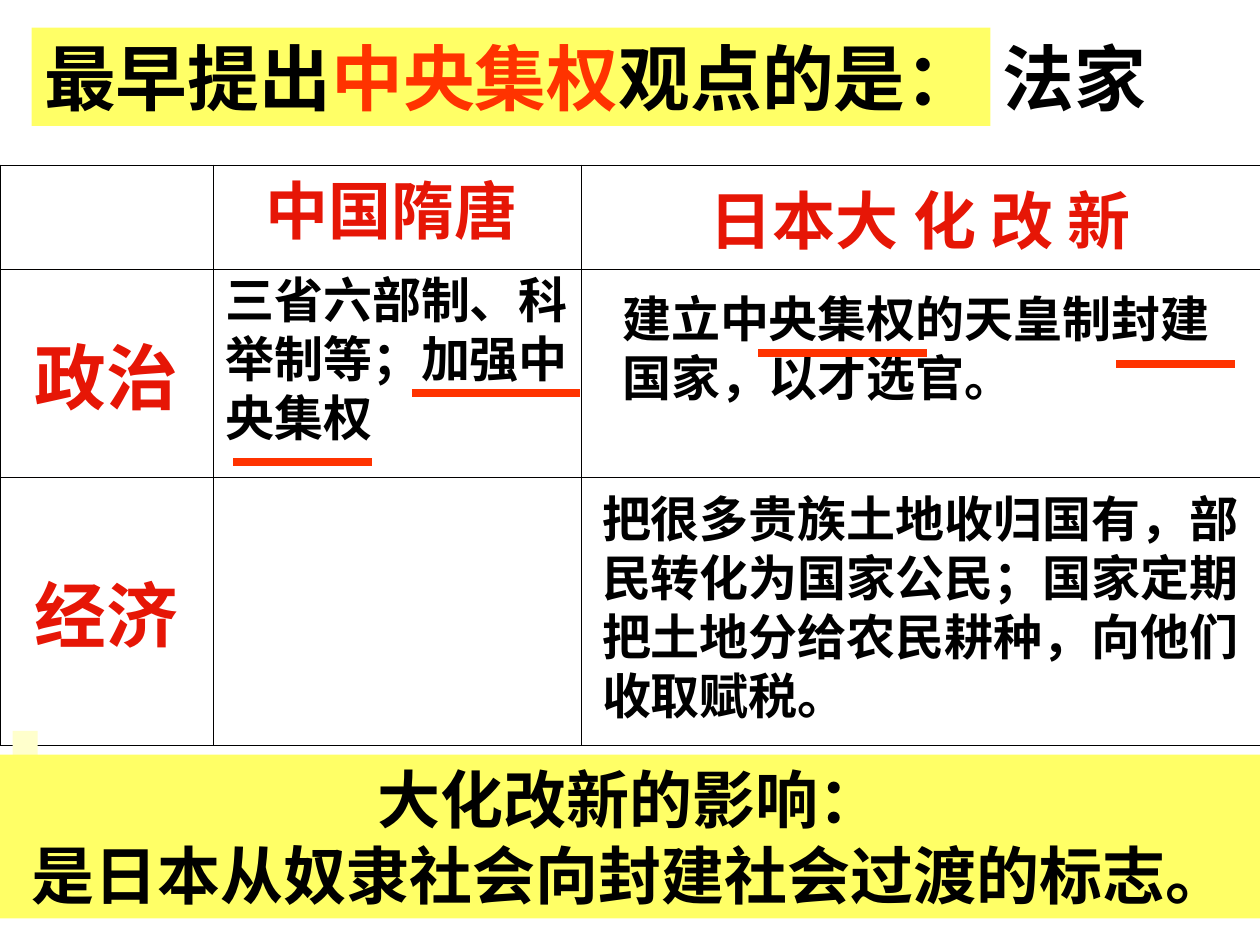
from lxml import etree
from pptx import Presentation
from pptx.dml.color import RGBColor
from pptx.enum import shapes, text
from pptx.oxml.ns import qn
from pptx.util import Inches, Pt

FONT = "Times New Roman"
BLACK, RED, ORANGE = "000000", "E61606", "FF3300"
YELLOW, CREAM, WHITE = "FFFF66", "FFFFCC", "FFFFFF"
LEFT, CENTER = text.PP_ALIGN.LEFT, text.PP_ALIGN.CENTER

# Each paragraph is a list of (words, colour) runs.
HEADING = [[("最早提出", BLACK), ("中央集权", ORANGE), ("观点的是：", BLACK)]]
IMPACT = [[("大化改新的影响：", BLACK)],
          [("是日本从奴隶社会向封建社会过渡的标志。", BLACK)]]

TABLE_BOX = (0, 1.31, 10, 4.57)
COLUMN_WIDTHS = (1.69, 2.92, 5.39)
ROW_HEIGHTS = (0.79, 1.65, 2.13)
TABLE = [
    [("", 18), ("", 18), ("日本大 化 改 新", 36)],
    [("政治", 41), ("", 18), ("", 18)],
    [("经济", 41), ("", 18), ("", 18)],
]
OUTER, INNER = (BLACK, 0.45), ("010000", 0.06)

# words, size, colour, box
NOTES = [
    ("三省六部制、科举制等；加强中央集权", 28, BLACK, (1.69, 2.09, 3.15, 1.5)),
    ("建立中央集权的天皇制封建国家，以才选官。", 28, BLACK, (4.84, 2.24, 5.16, 1.03)),
    ("把很多贵族土地收归国有，部民转化为国家公民；国家定期把土地分给农民耕种，"
     "向他们收取赋税。", 28, BLACK, (4.68, 3.83, 5.32, 1.97)),
    ("中国隋唐", 36, RED, (2.01, 1.31, 2.36, 0.7)),
    ("法家", 41, BLACK, (7.86, 0.22, 1.63, 0.78)),
]

# left, right, height on the slide
UNDERLINES = [(3.27, 4.6, 3.12), (1.85, 2.95, 3.67),
              (6.02, 7.36, 2.8), (8.86, 9.8, 2.89)]


def rgb(colour):
    return RGBColor.from_string(colour)


def inches(box):
    return [Inches(value) for value in box]


def paint(part, colour):
    part.fill.solid()
    part.fill.fore_color.rgb = rgb(colour)


def write(frame, paragraphs, size, align=LEFT, wrap=True, anchor=text.MSO_ANCHOR.TOP):
    settings = {"word_wrap": wrap, "vertical_anchor": anchor,
                "auto_size": text.MSO_AUTO_SIZE.NONE}
    for name, value in settings.items():
        setattr(frame, name, value)
    for index, runs in enumerate(paragraphs):
        paragraph = frame.add_paragraph() if index else frame.paragraphs[0]
        paragraph.alignment = align
        for words, colour in runs:
            run = paragraph.add_run()
            run.text = words
            for name, value in {"name": FONT, "size": Pt(size), "bold": True}.items():
                setattr(run.font, name, value)
            run.font.color.rgb = rgb(colour)


def add_block(slide, box, colour):
    block = slide.shapes.add_shape(shapes.MSO_SHAPE.RECTANGLE, *inches(box))
    block.shadow.inherit = False
    block.line.fill.background()
    paint(block, colour)
    return block


def add_border(cell, side, colour, width):
    line = etree.SubElement(cell._tc.get_or_add_tcPr(), qn(f"a:ln{side}"), w=str(Pt(width)))
    fill = etree.SubElement(line, qn("a:solidFill"))
    etree.SubElement(fill, qn("a:srgbClr"), val=colour)


def add_comparison(slide):
    rows, columns = len(ROW_HEIGHTS), len(COLUMN_WIDTHS)
    table = slide.shapes.add_table(rows, columns, *inches(TABLE_BOX)).table
    table.first_row = table.horz_banding = False
    for column, width in zip(table.columns, COLUMN_WIDTHS):
        column.width = Inches(width)
    for r, (row, height) in enumerate(zip(TABLE, ROW_HEIGHTS)):
        table.rows[r].height = Inches(height)
        for c, (words, size) in enumerate(row):
            cell = table.cell(r, c)
            on_edge = {"L": c == 0, "R": c == columns - 1,
                       "T": r == 0, "B": r == rows - 1}
            for side, outside in on_edge.items():
                add_border(cell, side, *(OUTER if outside else INNER))
            paint(cell, WHITE)
            cell.vertical_anchor = text.MSO_ANCHOR.MIDDLE
            if words:
                paragraph = cell.text_frame.paragraphs[0]
                paragraph.alignment = CENTER
                run = paragraph.add_run()
                run.text = words
                for name, value in {"name": FONT, "size": Pt(size), "bold": True}.items():
                    setattr(run.font, name, value)
                run.font.color.rgb = rgb(RED)


def add_underline(slide, left, right, y):
    line = slide.shapes.add_connector(shapes.MSO_CONNECTOR.STRAIGHT,
                                      *inches((left, y, right, y)))
    line.line.color.rgb = rgb(ORANGE)
    line.line.width = Pt(4.5)
    etree.SubElement(line._element.spPr, qn("a:effectLst"))


def main():
    deck = Presentation()
    deck.slide_width, deck.slide_height = Inches(10), Inches(7.5)
    slide = deck.slides.add_slide(deck.slide_layouts[5])

    heading = slide.shapes.title
    heading.left, heading.top, heading.width, heading.height = inches((0.25, 0.22, 7.61, 0.78))
    paint(heading, YELLOW)
    write(heading.text_frame, HEADING, 41, wrap=False)

    add_comparison(slide)
    for words, size, colour, box in NOTES:
        note = slide.shapes.add_textbox(*inches(box))
        write(note.text_frame, [[(words, colour)]], size)
    for underline in UNDERLINES:
        add_underline(slide, *underline)

    add_block(slide, (0.1, 5.8, 0.2, 0.5), CREAM)
    impact = add_block(slide, (0, 5.99, 10, 1.3), YELLOW)
    write(impact.text_frame, IMPACT, 36, CENTER)

    deck.save("out.pptx")


if __name__ == "__main__":
    main()
